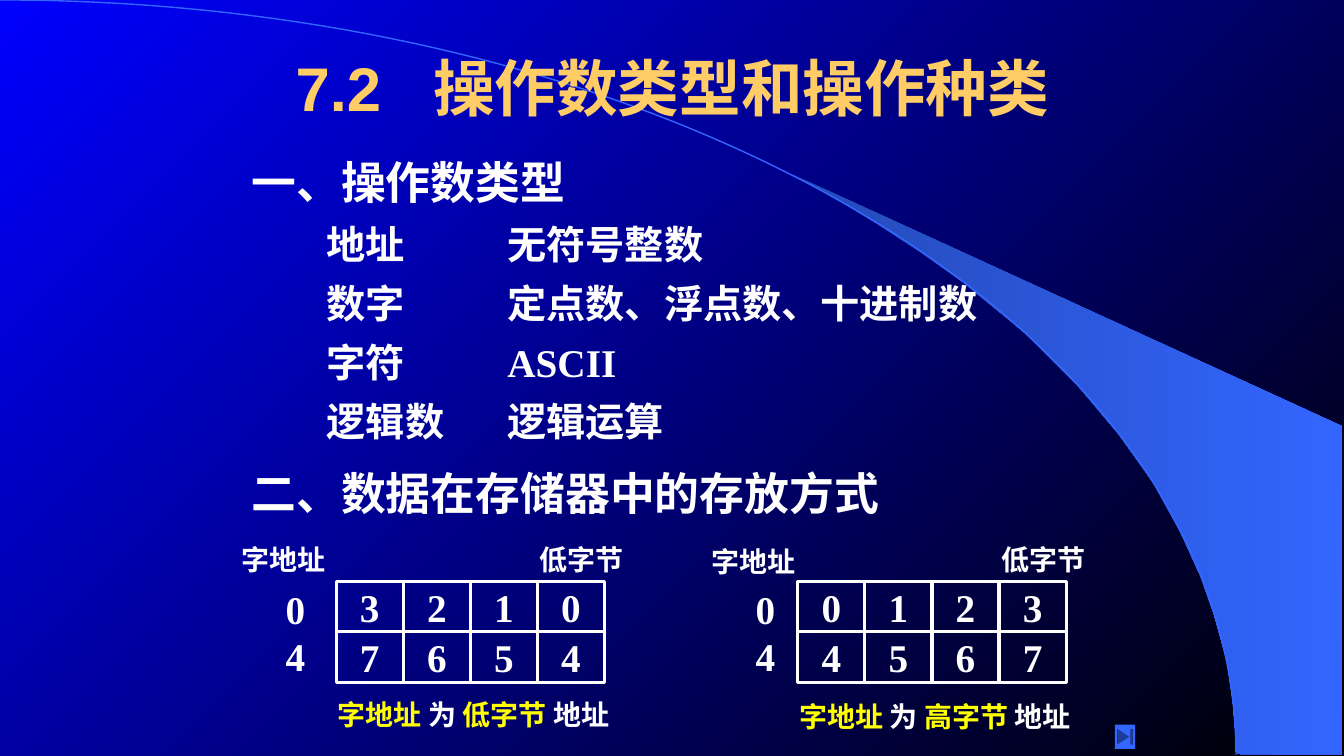
"""Build the slide on operand types and on how data is stored in memory."""
from dataclasses import dataclass
from lxml.etree import SubElement
from pptx import Presentation
from pptx.dml.color import RGBColor
from pptx.enum.shapes import MSO_SHAPE
from pptx.enum.text import MSO_ANCHOR, MSO_AUTO_SIZE, PP_ALIGN
from pptx.oxml.ns import qn
from pptx.util import Cm, Pt


@dataclass(frozen=True)
class Theme:
    """Colours, fonts and type sizes."""
    white: str = "FFFFFF"
    gold: str = "FFCC66"
    yellow: str = "FFFF00"
    blue: str = "3366FF"
    shade: str = "2449B6"
    back: tuple = ("0000FF", "000000")
    sans: str = "Arial"
    serif: str = "Times New Roman"
    title: int = 44
    gap: int = 37
    head: int = 32
    text: int = 28
    note: int = 20


class Deck:
    """Hold the style and the current slide."""

    def __init__(self, theme):
        """Open a wide deck with one slide."""
        self.theme = theme
        self.file = Presentation()
        self.file.slide_width, self.file.slide_height = Cm(33.86), Cm(19.05)
        self.slide = self.file.slides.add_slide(self.file.slide_layouts[1])
        self.blend(self.slide.background.fill, theme.back, 315)

    def blend(self, fill, tones, angle):
        """Fill with a two-tone gradient."""
        fill.gradient()
        fill.gradient_angle = angle
        for stop, tone in zip(fill.gradient_stops, tones):
            stop.color.rgb = RGBColor.from_string(tone)

    def style(self, para, size, tone=None, face=None):
        """Set the bold type of a paragraph."""
        font = para.font
        font.name, font.size, font.bold = face or self.theme.serif, Pt(size), True
        font.color.rgb = RGBColor.from_string(tone or self.theme.white)

    def place(self, shape, left, top, width, height):
        """Move a shape to its spot."""
        shape.left, shape.top = Cm(left), Cm(top)
        shape.width, shape.height = Cm(width), Cm(height)

    def title(self, mark, text, *spot):
        """Fill the title placeholder with a number and its heading."""
        shape = self.slide.shapes.title
        self.place(shape, *spot)
        frame = shape.text_frame
        frame.vertical_anchor = MSO_ANCHOR.MIDDLE
        para = frame.paragraphs[0]
        para.alignment = PP_ALIGN.CENTER
        self.style(para, self.theme.title, self.theme.gold, self.theme.sans)
        runs = [para.add_run() for _ in range(3)]
        for run, part in zip(runs, (mark, "\u3000", text)):
            run.text = part
        runs[1].font.size = Pt(self.theme.gap)

    def body(self, items, *spot):
        """Fill the body with headings and two-part rows."""
        shape = self.slide.placeholders[1]
        self.place(shape, *spot)
        frame = shape.text_frame
        frame.auto_size = MSO_AUTO_SIZE.NONE
        frame.text = "\n".join("\t".join(item) for item in items)
        for para, item in zip(frame.paragraphs, items):
            row = len(item) > 1
            self.style(para, self.theme.text if row else self.theme.head)
            para.line_spacing = Pt(42)
            para.space_before = Pt(0 if row else 12)
            prop = para._p.get_or_add_pPr()
            prop.set("marL", str(Cm(6.45) if row else 0))
            prop.set("indent", str(Cm(-4.55) if row else 0))
            SubElement(prop, qn("a:buNone"))
            prop.append(prop.find(qn("a:defRPr")))

    def label(self, lines, size, *spot):
        """Add a text box; each line is a list of text and tone pairs."""
        frame = self.slide.shapes.add_textbox(*map(Cm, spot)).text_frame
        frame.word_wrap = True
        for count, line in enumerate(lines):
            para = frame.add_paragraph() if count else frame.paragraphs[0]
            self.style(para, size)
            for text, tone in line:
                run = para.add_run()
                run.text = text
                if len(line) > 1:
                    run.font.color.rgb = RGBColor.from_string(tone)

    def cell(self, text, *spot):
        """Add one framed memory byte."""
        shape = self.slide.shapes.add_shape(MSO_SHAPE.RECTANGLE, *map(Cm, spot))
        shape.shadow.inherit = False
        shape.fill.background()
        shape.line.color.rgb = RGBColor.from_string(self.theme.white)
        shape.line.width = Pt(2.25)
        frame = shape.text_frame
        frame.text, frame.vertical_anchor = text, MSO_ANCHOR.MIDDLE
        frame.word_wrap = False
        para = frame.paragraphs[0]
        para.alignment = PP_ALIGN.CENTER
        self.style(para, self.theme.text)

    def grid(self, rows, left, top, wide, high):
        """Lay memory bytes out in rows."""
        for down, row in enumerate(rows):
            for over, text in enumerate(row):
                self.cell(text, left + over * wide, top + down * high, wide, high)

    def outline(self, points, closed):
        """Add a freeform behind the text."""
        spots = [(Cm(x), Cm(y)) for x, y in points]
        draw = self.slide.shapes.build_freeform(*spots[0])
        draw.add_line_segments(spots[1:], close=closed)
        shape = draw.convert_to_shape()
        shape.shadow.inherit = False
        if closed:
            self.blend(shape.fill, (self.theme.shade, self.theme.blue), 0)
            shape.line.fill.background()
        else:
            shape.fill.background()
            shape.line.color.rgb = RGBColor.from_string(self.theme.blue)
            shape.line.width = Pt(1)
        self.slide.shapes.element.insert(2, shape.element)

    def button(self, *spot):
        """Add the end button."""
        shape = self.slide.shapes.add_shape(
            MSO_SHAPE.ACTION_BUTTON_END, *map(Cm, spot))
        shape.shadow.inherit = False
        shape.fill.solid()
        shape.fill.fore_color.rgb = RGBColor.from_string(self.theme.blue)
        shape.line.fill.background()


def arc(wide, high, bend, drop, steps=80):
    """Give points on the sweep from the top left to the bottom right."""
    times = [step / steps for step in range(steps + 1)]
    return [(3 * (1 - t) ** 2 * t * bend + 3 * (1 - t) * t * t * wide + t ** 3 * wide,
             3 * (1 - t) * t * t * drop + t ** 3 * high) for t in times]


theme = Theme()
deck = Deck(theme)
deck.outline(arc(31.14, 19.02, 17.2, 8.51), False)
deck.outline([
    (31.17, 19), (33.81, 19.02), (33.81, 10.74), (19.96, 4.39), (21.13, 5.05),
    (22.1, 5.64), (23.19, 6.35), (24.26, 7.11), (25.81, 8.38), (27.18, 9.75),
    (28.19, 10.95), (29.06, 12.17), (29.74, 13.41), (30.25, 14.53),
    (30.58, 15.47), (30.91, 16.66), (31.06, 17.68)], True)
deck.title("7.2", "操作数类型和操作种类", 6.15, 0.6, 21.59, 3.18)
deck.body([
    ("一、操作数类型",), ("地址", "无符号整数"), ("数字", "定点数、浮点数、十进制数"),
    ("字符", "ASCII"), ("逻辑数", "逻辑运算"), ("二、数据在存储器中的存放方式",)],
    6.08, 3.65, 20.3, 9.5)

orders = [(0, 5.84, 0, ("3210", "7654"), "低"),
          (11.63, 17.68, 0.05, ("0123", "4567"), "高")]
for shift, left, drop, rows, end in orders:
    deck.label([[("字地址", theme.white)]], theme.note, left, 13.54 + drop, 2.9, 1.1)
    deck.label([[("低字节", theme.white)]], theme.note, 13.34 + shift, 13.54, 3.38, 1.1)
    deck.label([[(mark, theme.white)] for mark in "04"], theme.text,
               left + 1.11, 14.63, 1.02, 2.62)
    deck.grid(rows, 8.47 + shift, 14.65, 1.69, 1.27)
    deck.label([[("字地址 ", theme.yellow), ("为", theme.white),
                 (f" {end}字节 ", theme.yellow), ("地址", theme.white)]],
               theme.note, 8.26 + shift, 17.45 + drop, 8.3, 1.1)
deck.button(28.09, 18.26, 0.51, 0.61)
deck.file.save("out.pptx")
